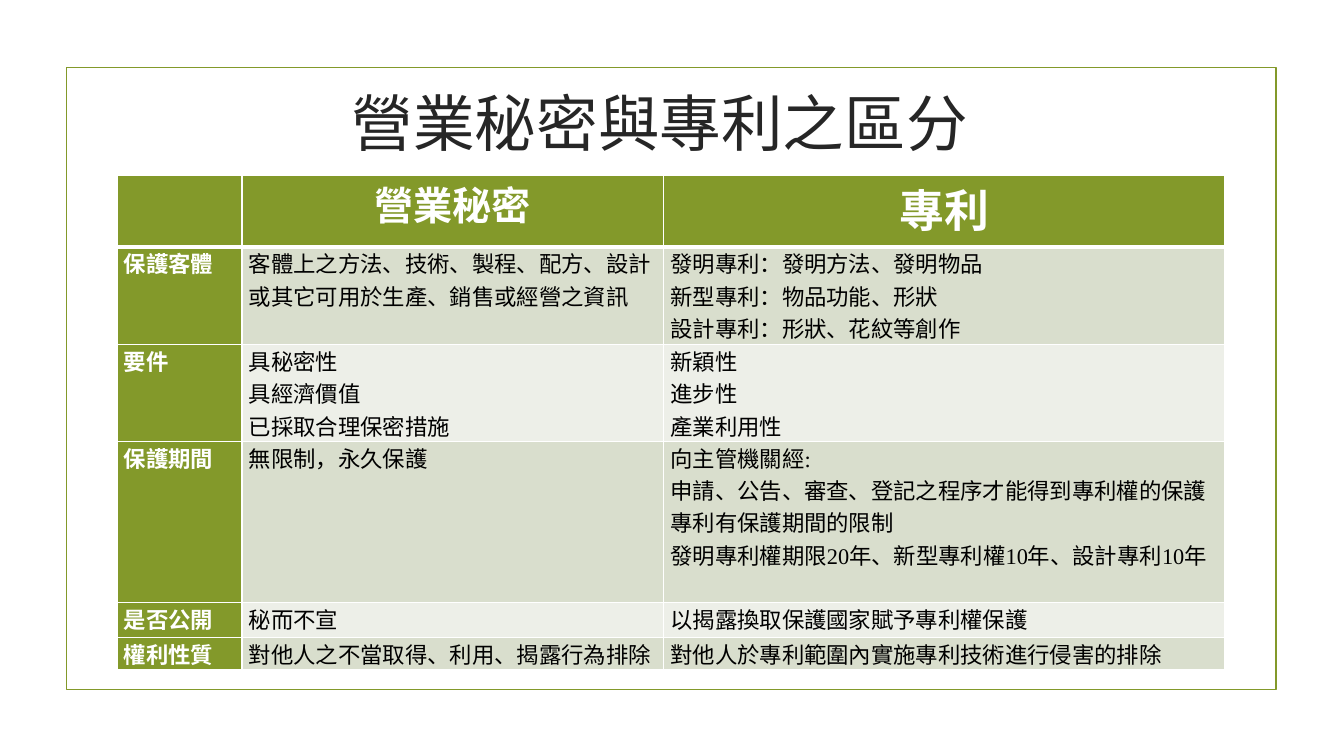
import dataclasses

import pptx
import pptx.dml.color
import pptx.enum.shapes
import pptx.enum.text
import pptx.oxml
import pptx.oxml.ns
import pptx.util

Inches = pptx.util.Inches
Pt = pptx.util.Pt
RGBColor = pptx.dml.color.RGBColor
Align = pptx.enum.text.PP_ALIGN
Anchor = pptx.enum.text.MSO_ANCHOR

GREEN = RGBColor(0x83, 0x99, 0x2A)
SAGE = RGBColor(0xD9, 0xDE, 0xCD)
PALE = RGBColor(0xED, 0xEF, 0xE8)
WHITE = RGBColor(0xFF, 0xFF, 0xFF)
BLACK = RGBColor(0x00, 0x00, 0x00)
DARK = RGBColor(0x26, 0x26, 0x26)
FONT = "Times New Roman"
WIDTHS = (1.24, 4.18, 5.57)


@dataclasses.dataclass(frozen=True)
class Row:
    height: float
    label: str
    secret: str
    patent: str


HEAD = Row(0.71, "", "營業秘密", "專利")
ROWS = (
    Row(0.97, "保護客體",
        "客體上之方法、技術、製程、配方、設計或其它可用於生產、銷售或經營之資訊",
        "發明專利：發明方法、發明物品\n新型專利：物品功能、形狀\n設計專利：形狀、花紋等創作"),
    Row(0.87, "要件",
        "具秘密性\n具經濟價值\n已採取合理保密措施",
        "新穎性\n進步性\n產業利用性"),
    Row(1.16, "保護期間",
        "無限制，永久保護",
        "向主管機關經:\n"
        "申請、公告、審查、登記之程序才能得到專利權的保護專利有保護期間的限制\n"
        "發明專利權期限20年、新型專利權10年、設計專利10年"),
    Row(0.34, "是否公開", "秘而不宣", "以揭露換取保護國家賦予專利權保護"),
    Row(0.32, "權利性質",
        "對他人之不當取得、利用、揭露行為排除",
        "對他人於專利範圍內實施專利技術進行侵害的排除"),
)


def write(frame, text: str, *, size: float, color: RGBColor = BLACK,
          bold: bool = False, align: Align = Align.LEFT) -> None:
    for index, line in enumerate(text.split("\n")):
        para = frame.paragraphs[0] if index == 0 else frame.add_paragraph()
        para.alignment = align
        if not line:
            continue
        run = para.add_run()
        run.text = line
        run.font.name = FONT
        run.font.size = Pt(size)
        run.font.bold = bold
        run.font.color.rgb = color


def edge(cell, top: float, base: float) -> None:
    props = cell._tc.get_or_add_tcPr()
    sides = (("lnL", 1), ("lnR", 1), ("lnT", top), ("lnB", base))
    for index, (side, width) in enumerate(sides):
        props.insert(index, pptx.oxml.parse_xml(
            f'<a:{side} {pptx.oxml.ns.nsdecls("a")} w="{Pt(width)}">'
            f'<a:solidFill><a:srgbClr val="{WHITE}"/></a:solidFill></a:{side}>'))


def fill_cell(cell, text: str, fill: RGBColor, *, top: float = 1,
              base: float = 1, **style) -> None:
    cell.margin_left = cell.margin_right = Inches(0.07)
    cell.margin_top = cell.margin_bottom = 0
    cell.fill.solid()
    cell.fill.fore_color.rgb = fill
    edge(cell, top, base)
    write(cell.text_frame, text, **style)


def draw_frame(slide) -> None:
    frame = slide.shapes.add_shape(
        pptx.enum.shapes.MSO_SHAPE.RECTANGLE,
        Inches(0.66), Inches(0.67), Inches(12), Inches(6.17))
    frame.shadow.inherit = False
    frame.fill.background()
    frame.line.color.rgb = GREEN
    frame.line.width = Pt(1.25)


def draw_title(slide) -> None:
    box = slide.shapes.add_textbox(
        Inches(3.39), Inches(0.79), Inches(6.53), Inches(0.84))
    box.text_frame.word_wrap = False
    box.text_frame.vertical_anchor = Anchor.MIDDLE
    write(box.text_frame, "營業秘密與專利之區分", size=44, color=DARK)


def draw_table(slide) -> None:
    rows = (HEAD, *ROWS)
    table = slide.shapes.add_table(
        len(rows), len(WIDTHS), Inches(1.16), Inches(1.74),
        Inches(sum(WIDTHS)), Inches(sum(row.height for row in rows))).table
    for column, width in zip(table.columns, WIDTHS):
        column.width = Inches(width)
    for line, row in zip(table.rows, rows):
        line.height = Inches(row.height)
    heads = zip((HEAD.label, HEAD.secret, HEAD.patent), (28, 28, 32))
    for col, (text, size) in enumerate(heads):
        fill_cell(table.cell(0, col), text, GREEN, base=3, size=size,
                  color=WHITE, bold=True, align=Align.CENTER)
    for index, row in enumerate(ROWS, 1):
        top = 3 if index == 1 else 1
        band = SAGE if index % 2 else PALE
        fill_cell(table.cell(index, 0), row.label, GREEN, top=top,
                  size=16, color=WHITE, bold=True)
        for col, text in enumerate((row.secret, row.patent), 1):
            fill_cell(table.cell(index, col), text, band, top=top, size=16)


def main() -> None:
    deck = pptx.Presentation()
    deck.slide_width = Inches(13.33)
    deck.slide_height = Inches(7.5)
    slide = deck.slides.add_slide(deck.slide_layouts[6])
    draw_frame(slide)
    draw_table(slide)
    draw_title(slide)
    deck.save("out.pptx")


if __name__ == "__main__":
    main()
